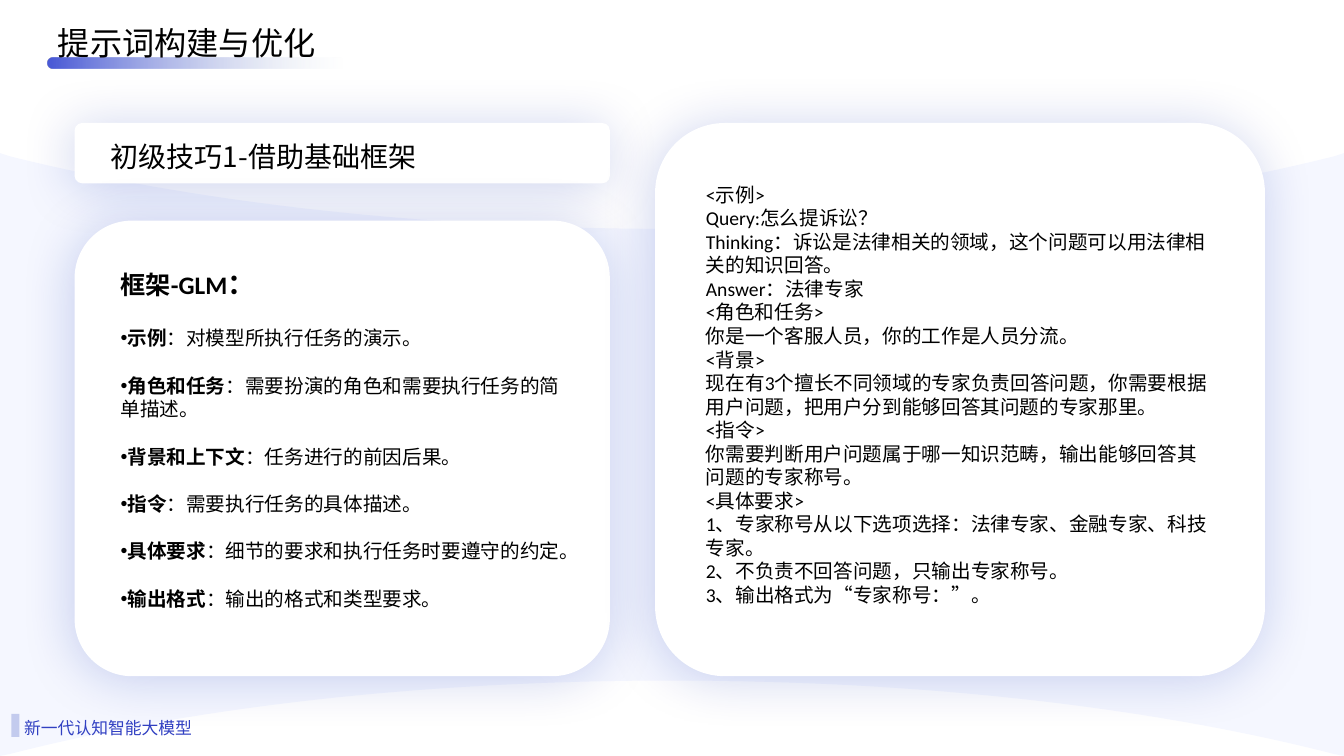
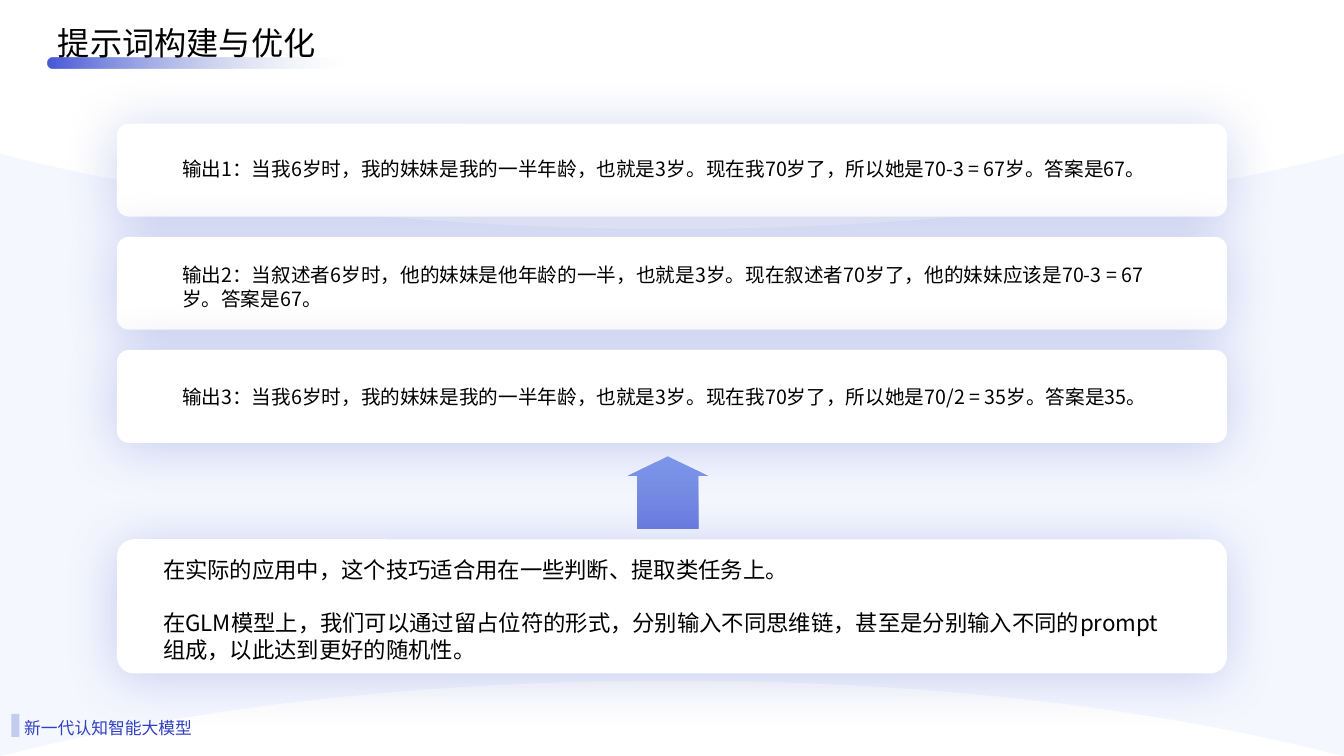
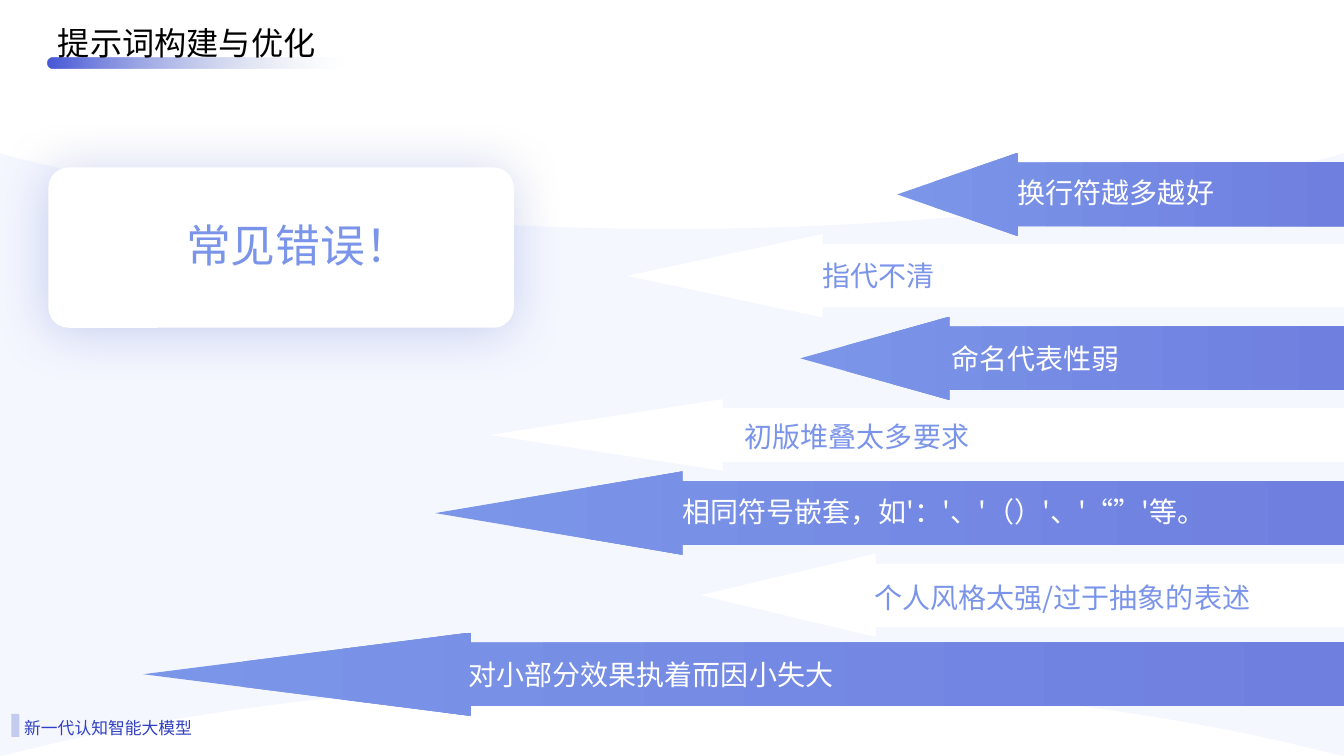
from lxml import etree
from pptx import Presentation
from pptx import util as u
from pptx.dml.color import RGBColor
from pptx.enum import shapes, text as t
from pptx.oxml import ns

# Shared look, lengths in centimetres
WIDTH, HEIGHT = 33.87, 19.05
CJK, LATIN = "Noto Sans CJK SC", "Calibri"
BLACK, WHITE, PALE = "000000", "FFFFFF", "F5F7FF"
ACCENT, ACCENT_FADE = "4B5BD7", "CAD5E2"
ARROW_LIGHT, ARROW_DARK, SOFT_BLUE = "7B96E9", "6F7FDF", "7A94E9"
FOOTER, FOOTER_BAR, SHADOW = "3140C2", "C3CBEE", "0425AA"
CARD_ROUND, ARROW_BODY = 0.126, 0.76
TITLE = "提示词构建与优化"
BRAND_LINE = "新一代认知智能大模型"


def rgb(hex_colour):
    return RGBColor.from_string(hex_colour)


def sub(parent, tag, **attrs):
    el = etree.SubElement(parent, ns.qn(tag))
    for name, value in attrs.items():
        el.set(name, str(value))
    return el


# Shapes
def paint(sp, fill):
    sp.shadow.inherit = False
    sp.line.fill.background()
    sp.fill.solid()
    sp.fill.fore_color.rgb = rgb(fill)


def paint_gradient(sp, stops, angle=0):
    sp.shadow.inherit = False
    sp.line.fill.background()
    sp.fill.gradient()
    sp.fill.gradient_angle = angle
    for stop, (position, colour) in zip(sp.fill.gradient_stops, stops):
        stop.position = position
        stop.color.rgb = rgb(colour)


def add_shape(s, kind, box, adjustments=()):
    sp = s.shapes.add_shape(kind, *[u.Cm(v) for v in box])
    for i, value in enumerate(adjustments):
        sp.adjustments[i] = value
    return sp


def add_card(s, *box):
    sp = add_shape(s, shapes.MSO_SHAPE.ROUNDED_RECTANGLE, box, [CARD_ROUND])
    paint(sp, WHITE)
    effects = sp._element.spPr.find(ns.qn("a:effectLst"))
    shadow = sub(effects, "a:outerShdw", blurRad=u.Pt(38.6), dist=u.Pt(3),
                 dir=120 * 60000, algn="ctr", rotWithShape=0)
    sub(sub(shadow, "a:srgbClr", val=SHADOW), "a:alpha", val=20000)


# Text: a paragraph is a string or a list of (text, overrides) runs
def add_run(p, text, size, colour, font, bold=False):
    r = p.add_run()
    r.text = text
    r.font.size = u.Pt(size)
    r.font.bold = bold
    r.font.name = font
    r.font.color.rgb = rgb(colour)
    rPr = r._r.get_or_add_rPr()
    rPr.set("lang", "zh-CN")
    sub(rPr, "a:ea", typeface=CJK)


def add_bullet(p):
    pPr = p._p.get_or_add_pPr()
    pPr.set("marL", "0")
    pPr.set("indent", "0")
    sub(pPr, "a:buFont", typeface="Arial")
    sub(pPr, "a:buChar", char="•")


def fill_text(sp, paragraphs, size, colour=BLACK, font=CJK, gaps=(),
              spacing=None, bullets_from=None):
    tf = sp.text_frame
    tf.word_wrap = True
    for i, runs in enumerate(paragraphs):
        p = tf.paragraphs[0] if i == 0 else tf.add_paragraph()
        p.alignment = t.PP_ALIGN.LEFT
        if i and gaps:
            p.space_before = u.Pt(gaps[min(i, len(gaps)) - 1])
        if spacing:
            p.line_spacing = spacing
        if bullets_from is not None and i >= bullets_from:
            add_bullet(p)
        for text, changes in [(runs, {})] if isinstance(runs, str) else runs:
            add_run(p, text, **{"size": size, "colour": colour,
                                "font": font, **changes})


def add_text(s, box, paragraphs, size, *style, **options):
    sp = s.shapes.add_textbox(*[u.Cm(v) for v in box])
    fill_text(sp, paragraphs, size, *style, **options)


# Background, title and footer
def bend(sp, starts):
    """Turn each three line segments from the given positions into a curve."""
    segments = sp._element.findall(".//" + ns.qn("a:lnTo"))
    for start in starts:
        first, *others = segments[start:start + 3]
        curve = etree.Element(ns.qn("a:cubicBezTo"))
        first.addprevious(curve)
        for segment in (first, *others):
            curve.append(segment[0])
            segment.getparent().remove(segment)


def add_backdrop(s):
    def edge(corner, end, control, middle):
        half = [(0, corner), (0.25, end), (4.8, control), (10.6, middle)]
        return (half + [(WIDTH / 2, middle)]
                + [(WIDTH - x, y) for x, y in reversed(half)])
    outline = (edge(3.86, 3.94, 5.08, 5.77)
               + edge(HEIGHT, 19, 17.83, 17.15)[::-1])
    points = [(u.Cm(x), u.Cm(y)) for x, y in outline]
    builder = s.shapes.build_freeform(*points[0])
    builder.add_line_segments(points[1:], close=True)
    sp = builder.convert_to_shape()
    bend(sp, (1, 4, 10, 13))
    paint(sp, PALE)


def add_frame(prs):
    s = prs.slides.add_slide(prs.slide_layouts[6])
    add_backdrop(s)
    bar = add_shape(s, shapes.MSO_SHAPE.ROUNDED_RECTANGLE,
                    (1.2, 1.45, 9.3, 0.28), [0.5])
    paint_gradient(bar, [(0.01, ACCENT), (0.8, ACCENT_FADE)])
    faded = bar._element.spPr.findall(".//" + ns.qn("a:srgbClr"))[-1]
    sub(faded, "a:alpha", val=0)
    add_text(s, (1.21, 0.27, 7.34, 1.45), [TITLE], 23, spacing=1.2)
    add_text(s, (0.36, 17.86, 4.93, 0.86), [BRAND_LINE], 12, FOOTER,
             spacing=1.2)
    paint(add_shape(s, shapes.MSO_SHAPE.RECTANGLE, (0.29, 17.99, 0.2, 0.58)),
          FOOTER_BAR)
    return s


# Slides
def build_framework(prs):
    s = add_frame(prs)
    add_card(s, 1.88, 3.1, 13.49, 1.52)
    add_text(s, (2.54, 3.4, 12.62, 1.12), ["初级技巧1-借助基础框架"], 20)

    add_card(s, 1.88, 5.56, 13.49, 11.48)
    parts = [
        ("示例", "对模型所执行任务的演示。"),
        ("角色和任务", "需要扮演的角色和需要执行任务的简单描述。"),
        ("背景和上下文", "任务进行的前因后果。"),
        ("指令", "需要执行任务的具体描述。"),
        ("具体要求", "细节的要求和执行任务时要遵守的约定。"),
        ("输出格式", "输出的格式和类型要求。"),
    ]
    heading = [("框架-GLM", {"size": 18, "bold": True}),
               ("：", {"size": 20, "font": CJK, "bold": True})]
    items = [[(name, {"bold": True}), ("：" + meaning, {})]
             for name, meaning in parts]
    add_text(s, (2.79, 6.58, 11.76, 11.28), [heading] + items, 14,
             font=LATIN, gaps=(19, 17), bullets_from=1)

    add_card(s, 16.51, 3.1, 15.37, 13.94)
    add_text(s, (17.54, 4.48, 13.31, 11.66), [
        "<示例>",
        "Query:怎么提诉讼？",
        "Thinking：诉讼是法律相关的领域，这个问题可以用法律相关的知识回答。",
        "Answer：法律专家",
        "<角色和任务>",
        "你是一个客服人员，你的工作是人员分流。",
        "<背景>",
        "现在有3个擅长不同领域的专家负责回答问题，你需要根据用户问题，"
        "把用户分到能够回答其问题的专家那里。",
        "<指令>",
        "你需要判断用户问题属于哪一知识范畴，输出能够回答其问题的专家称号。",
        "<具体要求>",
        "1、专家称号从以下选项选择：法律专家、金融专家、科技专家。",
        "2、不负责不回答问题，只输出专家称号。",
        "3、输出格式为“专家称号：”。",
    ], 14, font=LATIN)


def build_outputs(prs):
    s = add_frame(prs)
    left, width = 2.95, 27.97
    outputs = [
        (3.84, "输出1：当我6岁时，我的妹妹是我的一半年龄，也就是3岁。"
               "现在我70岁了，所以她是70-3 = 67岁。答案是67。"),
        (6.5, "输出2：当叙述者6岁时，他的妹妹是他年龄的一半，也就是3岁。"
              "现在叙述者70岁了，他的妹妹应该是70-3 = 67岁。答案是67。"),
        (9.58, "输出3：当我6岁时，我的妹妹是我的一半年龄，也就是3岁。"
               "现在我70岁了，所以她是70/2 = 35岁。答案是35。"),
    ]
    for i, (text_top, text) in enumerate(outputs):
        add_card(s, left, 3.12 + 2.85 * i, width, 2.34)
        add_text(s, (4.34, text_top, 25.17, 1.27), [text], 14)

    arrow = add_shape(s, shapes.MSO_SHAPE.UP_ARROW, (15.82, 11.5, 2.02, 1.83),
                      [ARROW_BODY, 0.27])
    paint_gradient(arrow, [(0, ARROW_LIGHT), (1, ARROW_DARK)], 270)

    add_card(s, left, 13.59, width, 3.38)
    add_text(s, (3.86, 13.88, 26.14, 2.54), [
        "在实际的应用中，这个技巧适合用在一些判断、提取类任务上。",
        "在GLM模型上，我们可以通过留占位符的形式，分别输入不同思维链，"
        "甚至是分别输入不同的prompt组成，以此达到更好的随机性。",
    ], 16, gaps=(19,))


def build_mistakes(prs):
    s = add_frame(prs)
    add_card(s, 1.22, 4.22, 11.73, 4.04)
    label = add_shape(s, shapes.MSO_SHAPE.RECTANGLE, (4.44, 5.36, 6.43, 1.63))
    paint(label, WHITE)
    fill_text(label, ["常见错误！"], 32, SOFT_BLUE)

    # Text, tip, end of head, middle, height, text left, text top, text width
    mistakes = [
        ("换行符越多越好", 22.61, 25.65, 4.9, 2.1, 25.4, 4.29, 6.63),
        ("指代不清", 15.8, 20.73, 6.95, 2.1, 20.47, 6.38, 7.82),
        ("命名代表性弱", 20.17, 23.93, 9.03, 2.1, 23.72, 8.48, 6.63),
        ("初版堆叠太多要求", 12.34, 18.21, 10.96, 1.8, 18.52, 10.44, 7.82),
        ("相同符号嵌套，如'：'、'（）'、'“”'等。",
         10.97, 17.2, 12.93, 2.1, 16.94, 12.34, 17.53),
        ("个人风格太强/过于抽象的表述",
         17.65, 22.07, 15, 2.1, 21.79, 14.5, 11.07),
        ("对小部分效果执着而因小失大",
         3.61, 11.86, 16.99, 2.1, 11.56, 16.45, 17.53),
    ]
    for i, (text, tip, neck, middle, height, x, y, w) in enumerate(mistakes):
        arrow = add_shape(s, shapes.MSO_SHAPE.LEFT_ARROW,
                          (tip, middle - height / 2, WIDTH - tip, height),
                          [ARROW_BODY, (neck - tip) / height])
        if i % 2:
            paint(arrow, WHITE)
        else:
            paint_gradient(arrow, [(0, ARROW_LIGHT), (1, ARROW_DARK)])
        add_text(s, (x, y, w, 1.12), [text], 20,
                 SOFT_BLUE if i % 2 else WHITE)


def main():
    prs = Presentation()
    prs.slide_width, prs.slide_height = u.Cm(WIDTH), u.Cm(HEIGHT)
    build_framework(prs)
    build_outputs(prs)
    build_mistakes(prs)
    prs.save("out.pptx")


if __name__ == "__main__":
    main()
